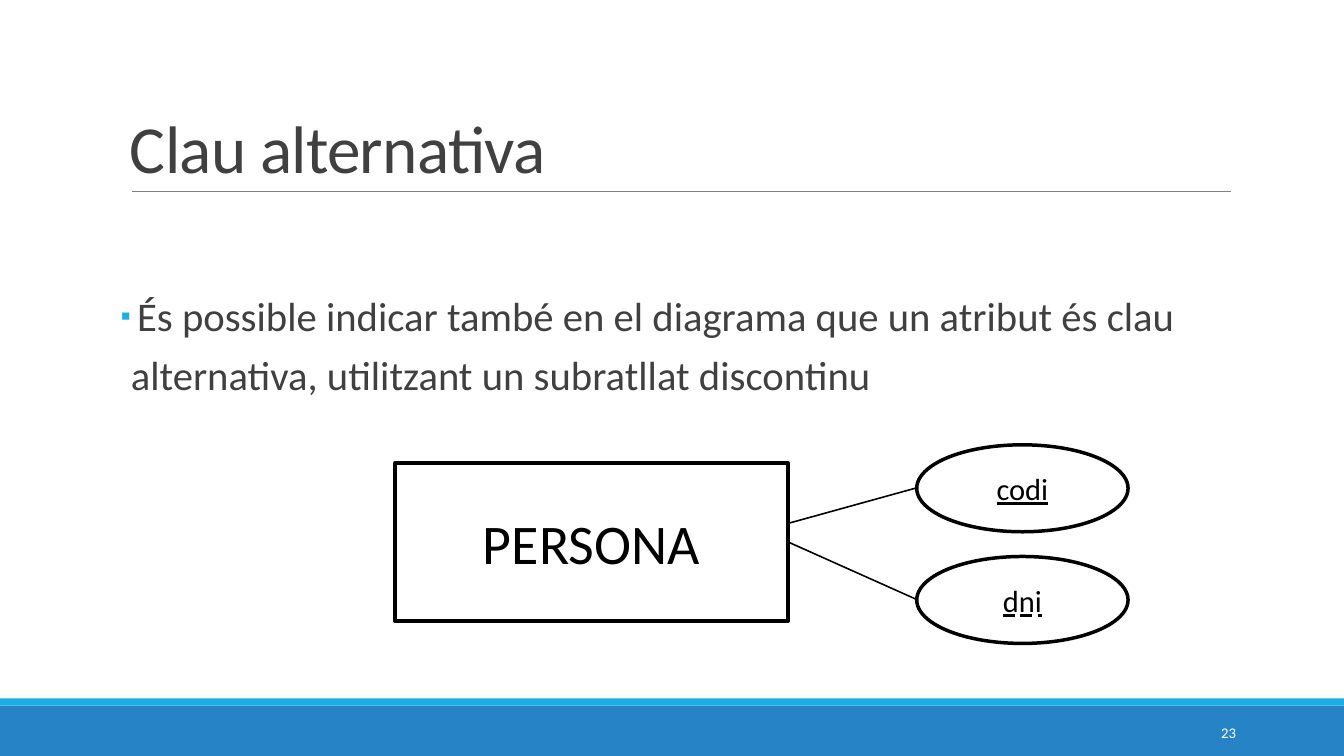
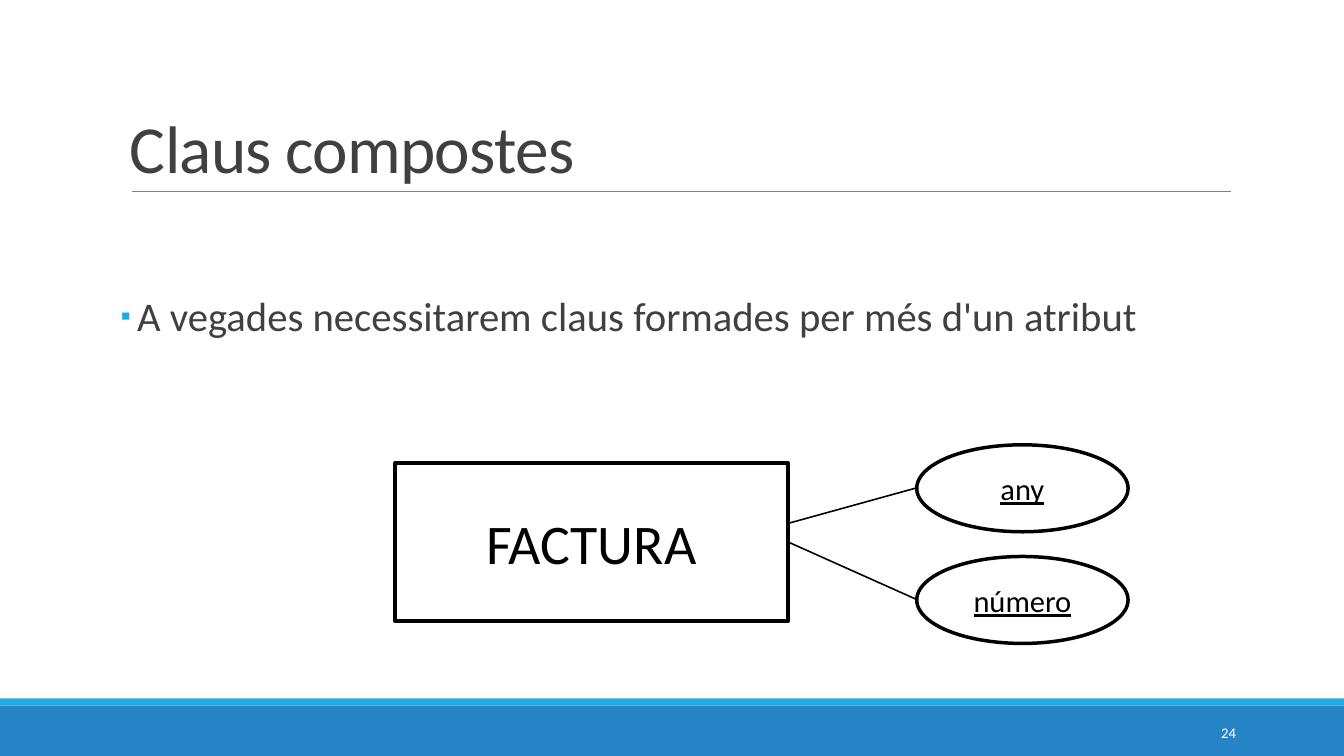
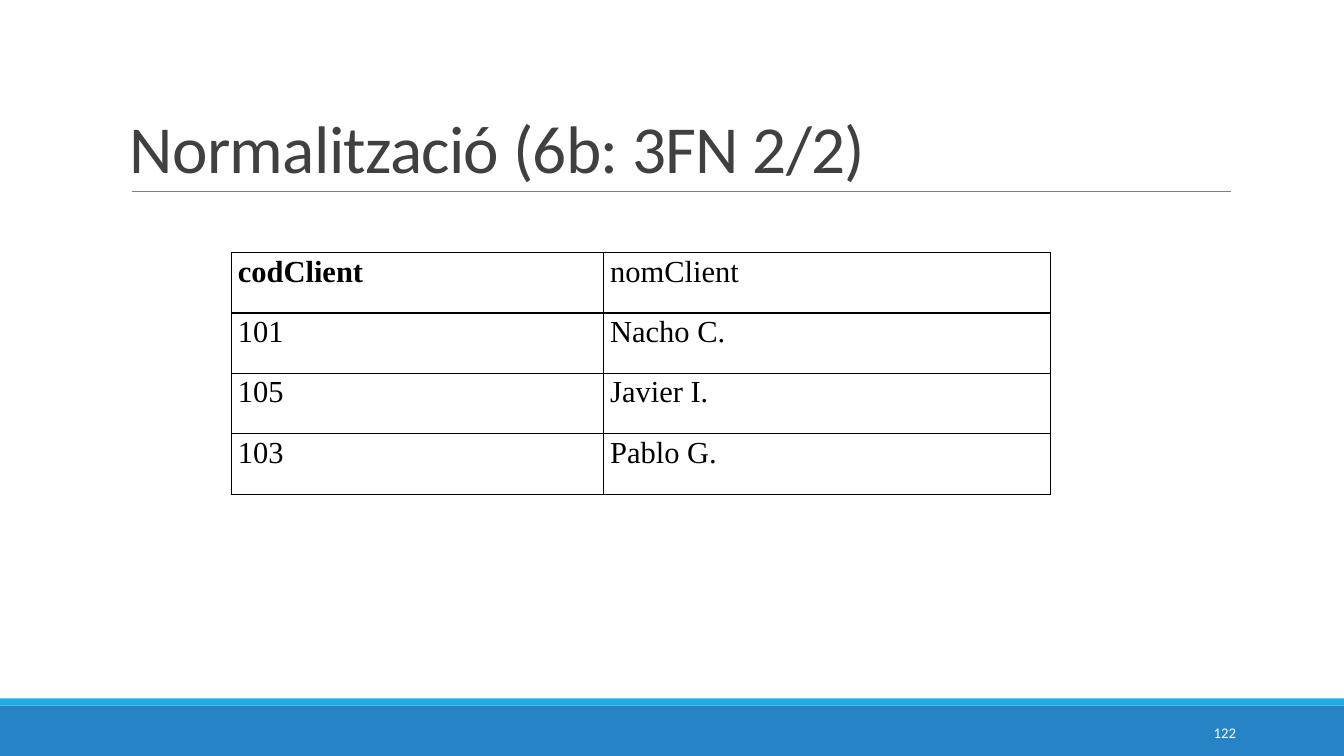
from lxml.etree import SubElement
from pptx import Presentation
from pptx.dml.color import RGBColor
from pptx.enum.shapes import MSO_CONNECTOR, MSO_SHAPE
from pptx.enum.text import MSO_ANCHOR, MSO_AUTO_SIZE, MSO_UNDERLINE, PP_ALIGN
from pptx.oxml.ns import qn
from pptx.util import Pt

PX = 9144
SLIDE_WIDTH, SLIDE_HEIGHT = 1469, 826

BLACK = RGBColor(0x00, 0x00, 0x00)
WHITE = RGBColor(0xFF, 0xFF, 0xFF)
GREY = RGBColor(0x80, 0x80, 0x80)
DARK_GREY = RGBColor(0x40, 0x40, 0x40)
BLUE = RGBColor(0x26, 0x83, 0xC6)
CYAN = RGBColor(0x1C, 0xAD, 0xE4)

TITLE_FONT = dict(name="Calibri", size=Pt(52.9), color=DARK_GREY)
BULLET_FONT = dict(name="Calibri", size=Pt(22), color=DARK_GREY)
BODY_FONT = dict(name="Calibri", size=Pt(32), color=DARK_GREY)
NUMBER_FONT = dict(name="Calibri", size=Pt(11.6), color=WHITE)
ENTITY_FONT = dict(name="Calibri", size=Pt(44), color=BLACK)
ATTRIBUTE_FONT = dict(name="Calibri", size=Pt(24), color=BLACK)
TABLE_FONT = dict(name="Times New Roman", size=Pt(24), color=BLACK)

KEY = True
ALTERNATIVE_KEY = MSO_UNDERLINE.DASH_LINE

CLIENTS = [
    ("codClient", "nomClient"),
    ("101", "Nacho C."),
    ("105", "Javier I."),
    ("103", "Pablo G."),
]


def scaled(*lengths):
    return [length * PX for length in lengths]


def set_attributes(target, values):
    for name, value in values.items():
        setattr(target, name, value)


def add_run(paragraph, text, font_format, **extra):
    run = paragraph.add_run()
    run.text = text
    for name, value in {**font_format, **extra}.items():
        if name == "color":
            run.font.color.rgb = value
        else:
            setattr(run.font, name, value)
    return run


def set_margins(target, horizontal, vertical):
    left, top = scaled(horizontal, vertical)
    set_attributes(target, dict(margin_left=left, margin_right=left,
                                margin_top=top, margin_bottom=top))


def add_box(slide, kind, box, fill, line_width=0):
    shape = slide.shapes.add_shape(kind, *scaled(*box))
    shape.shadow.inherit = False
    shape.fill.solid()
    shape.fill.fore_color.rgb = fill
    if line_width:
        shape.line.color.rgb = BLACK
        shape.line.width = Pt(line_width)
    else:
        shape.line.fill.background()
    return shape


def add_labelled_box(slide, kind, box, line_width, label, font_format, **extra):
    shape = add_box(slide, kind, box, WHITE, line_width)
    shape.text_frame.vertical_anchor = MSO_ANCHOR.MIDDLE
    paragraph = shape.text_frame.paragraphs[0]
    paragraph.alignment = PP_ALIGN.CENTER
    add_run(paragraph, label, font_format, **extra)


def add_line(slide, start, end, color, width):
    line = slide.shapes.add_connector(MSO_CONNECTOR.STRAIGHT, *scaled(*start, *end))
    line.line.color.rgb = color
    line.line.width = Pt(width)
    SubElement(line.element.spPr, qn("a:effectLst"))
    return line


def add_text_frame(slide, box, horizontal_margin, vertical_margin):
    frame = slide.shapes.add_textbox(*scaled(*box)).text_frame
    frame.word_wrap = True
    set_margins(frame, horizontal_margin, vertical_margin)
    return frame


def decorate_layout(layout, slide):
    decorations = [
        add_box(slide, MSO_SHAPE.RECTANGLE, (0, 771, SLIDE_WIDTH, 55), BLUE),
        add_box(slide, MSO_SHAPE.RECTANGLE, (0, 763, SLIDE_WIDTH, 8), CYAN),
        add_line(slide, (144, 209), (1345, 209), GREY, 0.5),
    ]
    for shape in decorations:
        layout.shapes.element.append(shape.element)


def add_title(slide, text):
    title = slide.shapes.title
    left, top, width, height = scaled(132, 35, 1212, 175)
    set_attributes(title, dict(left=left, top=top, width=width, height=height))
    set_attributes(title.text_frame, dict(vertical_anchor=MSO_ANCHOR.BOTTOM,
                                          auto_size=MSO_AUTO_SIZE.NONE, word_wrap=True))
    paragraph = title.text_frame.paragraphs[0]
    set_attributes(paragraph, dict(alignment=PP_ALIGN.LEFT, line_spacing=0.85))
    run = add_run(paragraph, text, TITLE_FONT)
    run.font._element.set("spc", "-60")


def add_slide_number(slide, number):
    frame = add_text_frame(slide, (1193, 778, 158, 44), 0, 0)
    frame.vertical_anchor = MSO_ANCHOR.MIDDLE
    paragraph = frame.paragraphs[0]
    paragraph.alignment = PP_ALIGN.RIGHT
    add_run(paragraph, str(number), NUMBER_FONT)


def add_bullet(slide, text):
    frame = add_text_frame(slide, (132, 302, 1212, 405), 0, 5)
    paragraph = frame.paragraphs[0]
    set_attributes(paragraph, dict(line_spacing=1.21, space_after=Pt(2.2)))
    properties = paragraph._p.get_or_add_pPr()
    indent = 11 * PX
    properties.set("marL", str(indent))
    properties.set("indent", str(-indent))
    color = SubElement(properties, qn("a:buClr"))
    SubElement(color, qn("a:srgbClr"), val=str(CYAN))
    SubElement(properties, qn("a:buFont"), typeface="Calibri")
    SubElement(properties, qn("a:buChar"), char="▪")
    add_run(paragraph, " ", BULLET_FONT)
    add_run(paragraph, text, BODY_FONT)


def add_entity_diagram(slide, entity, attributes):
    left, top, width, height = 432, 506, 429, 173
    add_labelled_box(slide, MSO_SHAPE.RECTANGLE, (left, top, width, height), 3,
                     entity, ENTITY_FONT)
    oval_left, oval_top, oval_width, oval_height = 1002, 486, 231, 95
    for index, (name, underline) in enumerate(attributes):
        y = oval_top + index * 122
        add_labelled_box(slide, MSO_SHAPE.OVAL, (oval_left, y, oval_width, oval_height),
                         2.75, name, ATTRIBUTE_FONT, underline=underline)
        add_line(slide, (left + width, 572 + index * 20),
                 (oval_left, y + oval_height // 2), BLACK, 1.25)


def add_cell_borders(cell):
    properties = cell._tc.get_or_add_tcPr()
    for side in ("a:lnL", "a:lnR", "a:lnT", "a:lnB"):
        line = SubElement(properties, qn(side), w=str(Pt(1)))
        fill = SubElement(line, qn("a:solidFill"))
        SubElement(fill, qn("a:srgbClr"), val=str(BLACK))


def fill_cell(cell, text, bold):
    set_margins(cell, 7, 0)
    add_cell_borders(cell)
    cell.fill.background()
    paragraph = cell.text_frame.paragraphs[0]
    set_attributes(paragraph, dict(alignment=PP_ALIGN.JUSTIFY, line_spacing=1.07,
                                   space_after=Pt(8)))
    add_run(paragraph, text, TABLE_FONT, bold=bold)


def add_grid(slide, rows, left, top, column_widths, row_height):
    box = scaled(left, top, sum(column_widths), row_height * len(rows))
    table = slide.shapes.add_table(len(rows), len(column_widths), *box).table
    set_attributes(table, dict(first_row=False, horz_banding=False))
    for column, width in zip(table.columns, column_widths):
        column.width = width * PX
    for row_index, row in enumerate(rows):
        for column_index, text in enumerate(row):
            is_key_name = row_index == column_index == 0
            fill_cell(table.cell(row_index, column_index), text, is_key_name)


def add_slide(presentation, title, number):
    layout = presentation.slide_layouts[5]
    slide = presentation.slides.add_slide(layout)
    if len(presentation.slides) == 1:
        decorate_layout(layout, slide)
    add_title(slide, title)
    add_slide_number(slide, number)
    return slide


def main():
    presentation = Presentation()
    presentation.slide_width, presentation.slide_height = scaled(SLIDE_WIDTH, SLIDE_HEIGHT)

    slide = add_slide(presentation, "Clau alternativa", 23)
    add_bullet(slide, "És possible indicar també en el diagrama que un atribut és clau "
                      "alternativa, utilitzant un subratllat discontinu")
    add_entity_diagram(slide, "PERSONA", [("codi", KEY), ("dni", ALTERNATIVE_KEY)])

    slide = add_slide(presentation, "Claus compostes", 24)
    add_bullet(slide, "A vegades necessitarem claus formades per més d'un atribut")
    add_entity_diagram(slide, "FACTURA", [("any", KEY), ("número", KEY)])

    slide = add_slide(presentation, "Normalització (6b: 3FN 2/2)", 122)
    add_grid(slide, CLIENTS, 253, 276, (407, 488), 66)

    presentation.save("out.pptx")


if __name__ == "__main__":
    main()
